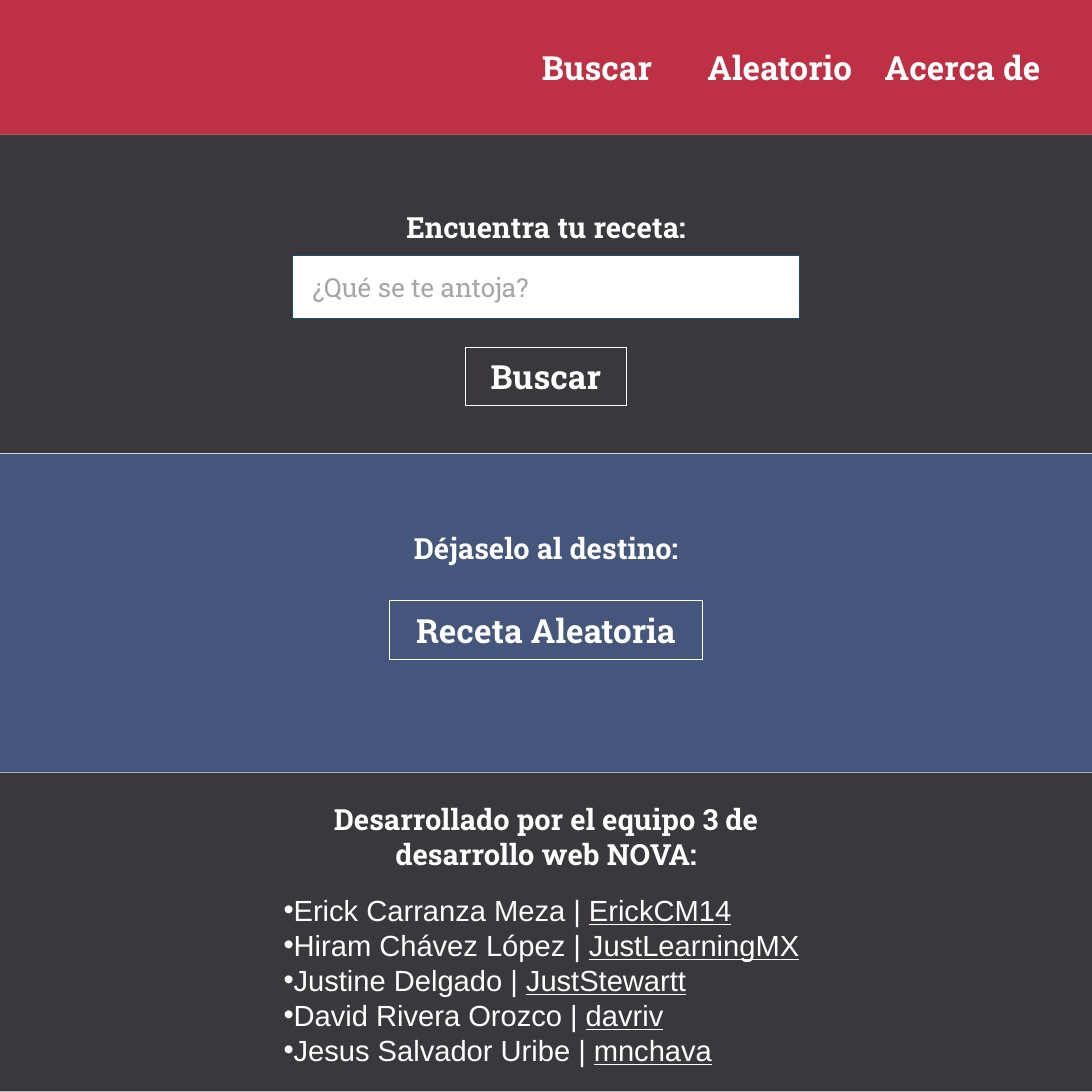
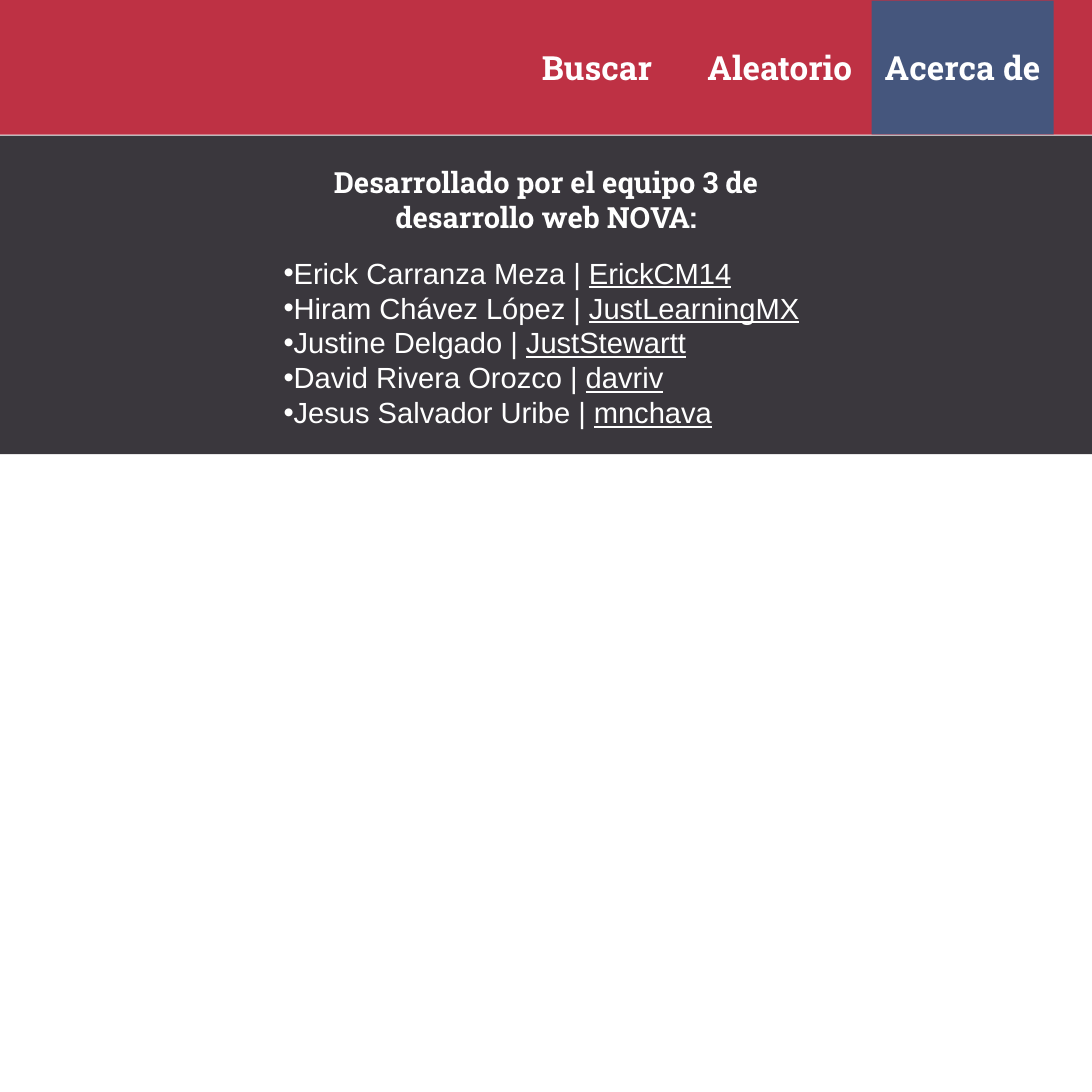
from lxml.etree import SubElement
from pptx import Presentation
from pptx.dml.color import RGBColor
from pptx.enum.shapes import MSO_SHAPE
from pptx.enum.text import MSO_ANCHOR, MSO_AUTO_SIZE, PP_ALIGN
from pptx.oxml.ns import qn
from pptx.util import Cm, Pt

# Shared style, lengths in cm
RED, DARK, BLUE, WHITE = "BE3144", "3A373D", "45567D", "FFFFFF"
PROMPT, INPUT_LINE = "A6A6A6", "174F70"
SLAB, SANS = "Roboto Slab", "Arial"
SIDE, HEADER_H, BAND_STEP, BAND_H = 37.03, 4.57, 10.82, 10.8
NAV_LEFT, NAV_TOP, NAV_STEP, NAV_W, NAV_H = 17.16, 0.02, 6.2, 6.17, 4.54
ROW_H = 1.98

NAV = ["Buscar", "Aleatorio", "Acerca de"]
TEAM = [
    ("Erick Carranza Meza", "ErickCM14"),
    ("Hiram Chávez López", "JustLearningMX"),
    ("Justine Delgado", "JustStewartt"),
    ("David Rivera Orozco", "davriv"),
    ("Jesus Salvador Uribe", "mnchava"),
]


def rgb(value):
    return RGBColor.from_string(value)


def centred(top, width, height):
    """Box (left, top, width, height) in the middle of the slide."""
    return (SIDE - width) / 2, top, width, height


def add_box(s, box, fill=None, line=None):
    sp = s.shapes.add_shape(MSO_SHAPE.RECTANGLE, *map(Cm, box))
    sp.shadow.inherit = False
    if fill:
        sp.fill.solid()
        sp.fill.fore_color.rgb = rgb(fill)
    else:
        sp.fill.background()
    if line:
        sp.line.color.rgb = rgb(line)
        sp.line.width = Pt(1)
    else:
        sp.line.fill.background()
    return sp


def add_run(p, text, size=32, font=SLAB, color=WHITE, bold=False, underline=None):
    r = p.add_run()
    r.text = text
    r.font.size, r.font.name = Pt(size), font
    r.font.bold, r.font.underline = bold, underline
    r.font.color.rgb = rgb(color)


def add_bullet(p):
    pPr = p._p.get_or_add_pPr()
    SubElement(pPr, qn("a:buFont"), typeface=SANS)
    SubElement(pPr, qn("a:buChar"), char="•")


def frame(sp):
    tf = sp.text_frame
    tf.word_wrap = True
    tf.auto_size = MSO_AUTO_SIZE.NONE
    tf.vertical_anchor = MSO_ANCHOR.MIDDLE
    return tf


def write(sp, text, align=PP_ALIGN.CENTER, **style):
    p = frame(sp).paragraphs[0]
    p.alignment = align
    add_run(p, text, **style)


def heading(s, box, text):
    """The first heading of a slide is its title."""
    sp = s.shapes.title
    if sp.text_frame.text:
        sp = s.shapes.add_textbox(*map(Cm, box))
    else:
        sp.left, sp.top, sp.width, sp.height = map(Cm, box)
        s.shapes.element.append(sp.element)  # bring in front of the band
    write(sp, text, size=28, bold=True)


def button(s, box, text):
    write(add_box(s, box, line=WHITE), text, bold=True)


# Regions
def header(s, active=None):
    add_box(s, (0, 0, SIDE, HEADER_H), RED)
    for i, label in enumerate(NAV):
        box = (NAV_LEFT + i * NAV_STEP, NAV_TOP, NAV_W, NAV_H)
        if label == active:
            sp = add_box(s, box, BLUE)
        else:
            sp = s.shapes.add_textbox(*map(Cm, box))
        write(sp, label, bold=True)


def search_band(s, top, height):
    add_box(s, (0, top, SIDE, height), DARK)
    heading(s, centred(top + 2.14, 11.91, ROW_H), "Encuentra tu receta:")
    sp = add_box(s, centred(top + 4.09, 17.2, 2.13), WHITE, INPUT_LINE)
    sp.text_frame.margin_left = Cm(0.69)
    write(sp, "¿Qué se te antoja?", PP_ALIGN.LEFT, size=25.2, color=PROMPT)
    button(s, centred(top + 7.2, 5.49, ROW_H), "Buscar")


def random_band(s, top, height):
    add_box(s, (0, top, SIDE, height), BLUE)
    heading(s, centred(top + 2.21, 11.91, ROW_H), "Déjaselo al destino:")
    button(s, centred(top + 4.99, 10.62, ROW_H), "Receta Aleatoria")


def credits_band(s, top, height):
    add_box(s, (0, top, SIDE, height), DARK)
    heading(s, centred(top + 1.17, 15.9, ROW_H),
            "Desarrollado por el equipo 3 de desarrollo web NOVA:")
    tf = frame(s.shapes.add_textbox(*map(Cm, centred(top + 3.44, 18.3, 7.14))))
    for i, (name, user) in enumerate(TEAM):
        p = tf.add_paragraph() if i else tf.paragraphs[0]
        add_bullet(p)
        add_run(p, f"{name} | ", size=28, font=SANS)
        add_run(p, user, size=28, font=SANS, underline=True)


# Slides
def home_slide(s):
    header(s)
    for i, band in enumerate((search_band, random_band, credits_band)):
        band(s, HEADER_H + i * BAND_STEP, BAND_H)


def about_slide(s):
    header(s, active="Acerca de")
    credits_band(s, HEADER_H + 0.03, BAND_H)


def main():
    prs = Presentation()
    prs.slide_width = prs.slide_height = Cm(SIDE)
    for build in (home_slide, about_slide):
        build(prs.slides.add_slide(prs.slide_layouts[5]))
    prs.save("out.pptx")


if __name__ == "__main__":
    main()
